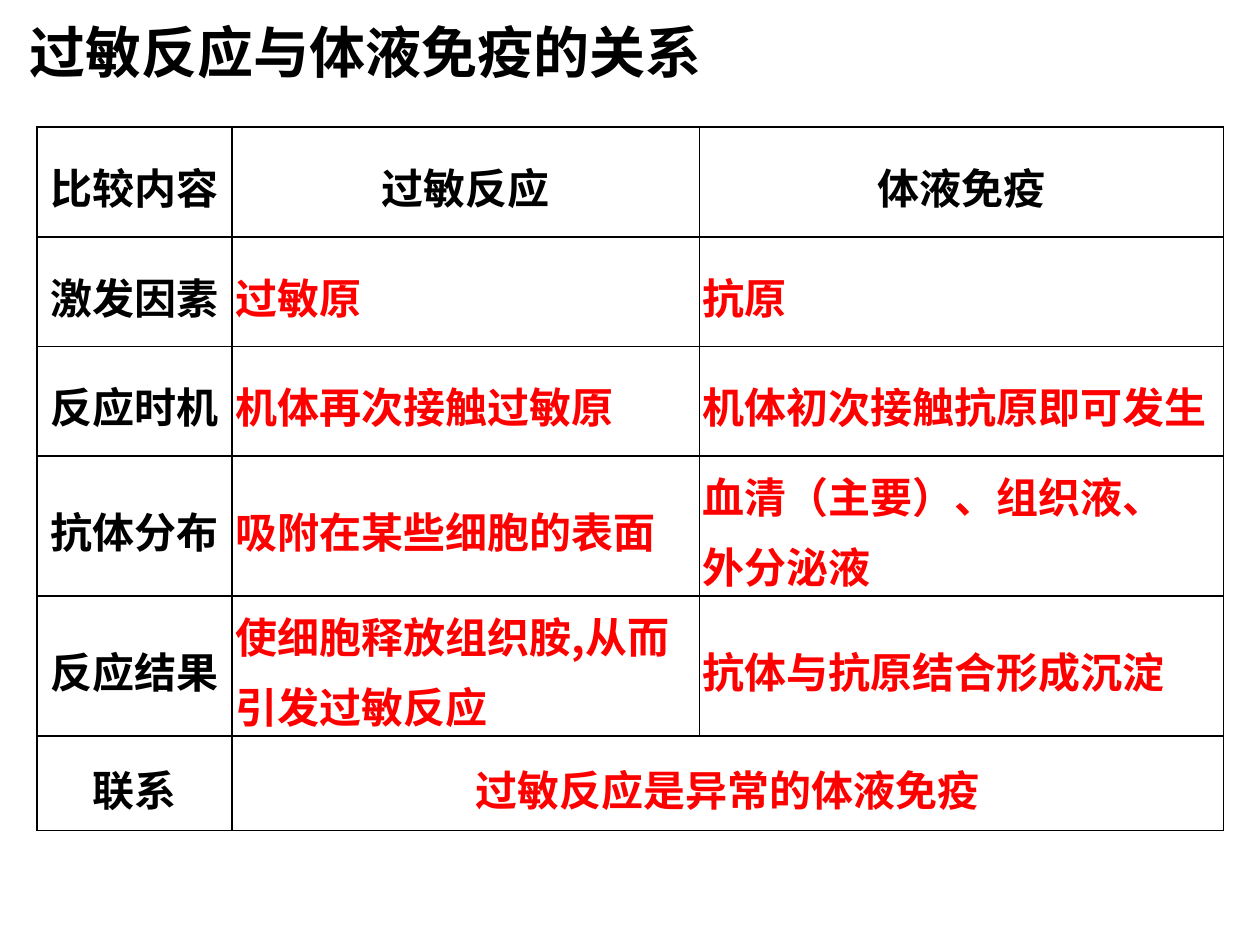
from lxml import etree
from pptx import Presentation
from pptx.dml.color import RGBColor
from pptx.enum.text import MSO_ANCHOR, MSO_AUTO_SIZE, PP_ALIGN
from pptx.oxml.ns import qn
from pptx.util import Pt

BLACK = RGBColor(0x00, 0x00, 0x00)
RED = RGBColor(0xFF, 0x00, 0x00)
CENTER, LEFT = PP_ALIGN.CENTER, PP_ALIGN.LEFT
MIDDLE = MSO_ANCHOR.MIDDLE
FIT_SHAPE = MSO_AUTO_SIZE.SHAPE_TO_FIT_TEXT
FONT = "Noto Sans CJK SC"

COLUMN_WIDTHS = [111.6, 267.1, 299.5]
ROW_HEIGHTS = [62.6, 62.6, 62.6, 75.6, 77, 54]
COMPARISON = [
    ["比较内容", "过敏反应", "体液免疫"],
    ["激发因素", "过敏原", "抗原"],
    ["反应时机", "机体再次接触过敏原", "机体初次接触抗原即可发生"],
    ["抗体分布", "吸附在某些细胞的表面", "血清（主要）、组织液、\n外分泌液"],
    ["反应结果", "使细胞释放组织胺,从而引发过敏反应", "抗体与抗原结合形成沉淀"],
    ["联系", "过敏反应是异常的体液免疫", ""],
]


def write_text(frame, text, size, color=BLACK, align=LEFT, line_spacing=1.0):
    """Fill a text frame with bold text, one paragraph per line."""
    frame.text = text
    for para in frame.paragraphs:
        para.alignment = align
        para.line_spacing = line_spacing
        for span in para.runs:
            span.font.name = FONT
            span.font.size = Pt(size)
            span.font.bold = True
            span.font.color.rgb = color
            properties = span.font._element
            etree.SubElement(properties, qn("a:ea"), typeface=FONT)


def add_borders(cell, color=BLACK, width=1):
    properties = cell._tc.get_or_add_tcPr()
    for side in ("a:lnL", "a:lnR", "a:lnT", "a:lnB"):
        line = etree.SubElement(properties, qn(side), w=str(Pt(width)))
        fill = etree.SubElement(line, qn("a:solidFill"))
        etree.SubElement(fill, qn("a:srgbClr"), val=str(color))


deck = Presentation()
deck.slide_width, deck.slide_height = Pt(720), Pt(540)
page = deck.slides.add_slide(deck.slide_layouts[6])

# Comparison table
table = page.shapes.add_table(
    len(ROW_HEIGHTS), len(COLUMN_WIDTHS), Pt(21), Pt(72.7),
    Pt(sum(COLUMN_WIDTHS)), Pt(sum(ROW_HEIGHTS))).table
table.first_row = False
table.horz_banding = False
for column, width in zip(table.columns, COLUMN_WIDTHS):
    column.width = Pt(width)
for row, height in zip(table.rows, ROW_HEIGHTS):
    row.height = Pt(height)

last_row = len(COMPARISON) - 1
table.cell(last_row, 1).merge(table.cell(last_row, 2))

for r, texts in enumerate(COMPARISON):
    for c, text in enumerate(texts):
        cell = table.cell(r, c)
        is_heading = r == 0 or c == 0
        cell.vertical_anchor = MIDDLE
        cell.margin_left = cell.margin_right = Pt(0 if c == 0 else 2)
        cell.margin_top = cell.margin_bottom = Pt(0)
        add_borders(cell)
        cell.fill.background()
        if text:
            write_text(cell.text_frame, text, 24,
                       color=BLACK if is_heading else RED,
                       align=CENTER if is_heading or r == last_row else LEFT,
                       line_spacing=1.15)

# Title
title = page.shapes.add_textbox(Pt(4.3), Pt(6.5), Pt(405.4), Pt(46))
title.text_frame.word_wrap = False
title.text_frame.auto_size = FIT_SHAPE
title.text_frame.margin_left = Pt(12.7)
write_text(title.text_frame, "过敏反应与体液免疫的关系", 32)

deck.save("out.pptx")
